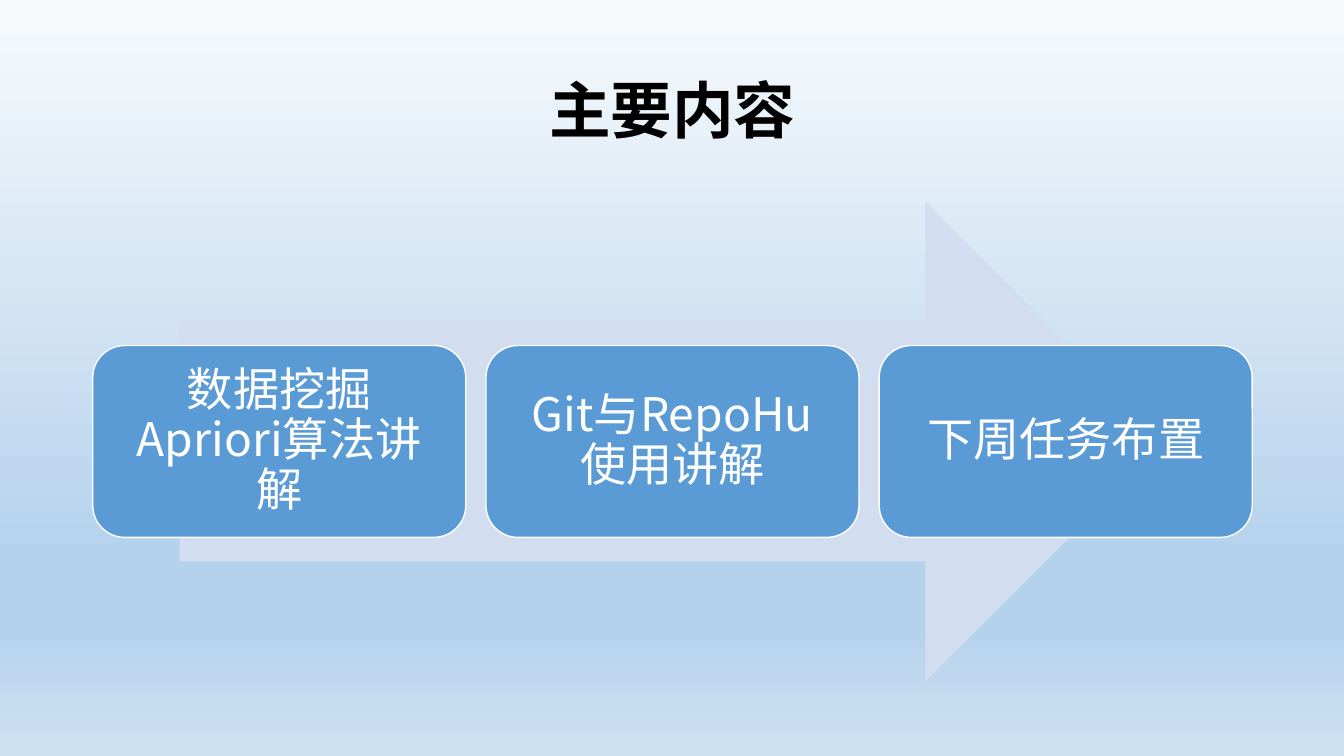
from lxml import etree
from pptx import Presentation
from pptx import util as u
from pptx.dml import color
from pptx.enum import shapes, text
from pptx.oxml import ns

TOPICS = ["数据挖掘Apriori算法讲解", "Git与RepoHu使用讲解", "下周任务布置"]
SKY_STOPS = [(0, "F7FAFD"), (74, "B5D2EC"), (83, "B5D2EC"), (100, "CEE1F2")]


def rgb(value):
    """Turn a hex string into a colour."""
    return color.RGBColor.from_string(value)


def paint_background(page, stops):
    """Fill the page with a top-to-bottom gradient."""
    fill = page.background.fill
    fill.gradient()
    fill.gradient_angle = 270
    stop_list = next(page.element.iter(ns.qn("a:gsLst")))
    for old_stop in list(stop_list):
        stop_list.remove(old_stop)
    for percent, shade in stops:
        stop = etree.SubElement(stop_list, ns.qn("a:gs"), pos=str(percent * 1000))
        etree.SubElement(stop, ns.qn("a:srgbClr"), val=shade)


def write(shape, words, size, font, shade, bold=False):
    """Put centred text in a shape and format it."""
    frame = shape.text_frame
    frame.text = words
    frame.word_wrap = True
    frame.auto_size = text.MSO_AUTO_SIZE.NONE
    frame.vertical_anchor = text.MSO_ANCHOR.MIDDLE
    para = frame.paragraphs[0]
    para.alignment = text.PP_ALIGN.CENTER
    para.line_spacing = 0.9
    span = para.runs[0]
    span.font.size = u.Pt(size)
    span.font.bold = bold
    span.font.color.rgb = rgb(shade)
    span.font.name = font
    properties = span.font._element
    etree.SubElement(properties, ns.qn("a:ea"), typeface=font)


def add_title(page, words, left, top, width, height):
    """Place the title placeholder in its box."""
    title = page.shapes.title
    title.left, title.top = u.Inches(left), u.Inches(top)
    title.width, title.height = u.Inches(width), u.Inches(height)
    write(title, words, 44, "Noto Sans CJK JP", "000000", bold=True)


def add_block(page, kind, shade, left, top, width, height):
    """Add a flat preset shape without an outline."""
    block = page.shapes.add_shape(
        kind, u.Inches(left), u.Inches(top), u.Inches(width), u.Inches(height))
    block.shadow.inherit = False
    block.fill.solid()
    block.fill.fore_color.rgb = rgb(shade)
    block.line.fill.background()
    return block


def add_process(page, topics, left, top, width, height):
    """Draw a wide arrow with evenly spaced topic cards across it."""
    arrow_width = width * 0.85
    add_block(page, shapes.MSO_SHAPE.RIGHT_ARROW, "D2DEEF",
              left + (width - arrow_width) / 2, top, arrow_width, height)
    gap = 0.2
    card_width = (width - gap * (len(topics) - 1)) / len(topics)
    card_height = height * 0.4
    card_top = top + (height - card_height) / 2
    for index, topic in enumerate(topics):
        card = add_block(page, shapes.MSO_SHAPE.ROUNDED_RECTANGLE, "5B9BD5",
                         left + index * (card_width + gap), card_top,
                         card_width, card_height)
        card.line.color.rgb = rgb("FFFFFF")
        card.line.width = u.Pt(1)
        frame = card.text_frame
        frame.margin_left = frame.margin_right = u.Inches(0.14)
        frame.margin_top = frame.margin_bottom = u.Inches(0.14)
        write(card, topic, 33, "Noto Sans CJK SC", "FFFFFF")


def build_contents(deck):
    """Build the contents page."""
    page = deck.slides.add_slide(deck.slide_layouts[5])
    paint_background(page, SKY_STOPS)
    add_title(page, "主要内容", 0.92, 0.4, 11.5, 1.45)
    add_process(page, TOPICS, 0.92, 2, 11.5, 4.76)


deck = Presentation()
deck.slide_width, deck.slide_height = u.Inches(13.33), u.Inches(7.5)
build_contents(deck)
deck.save("out.pptx")
